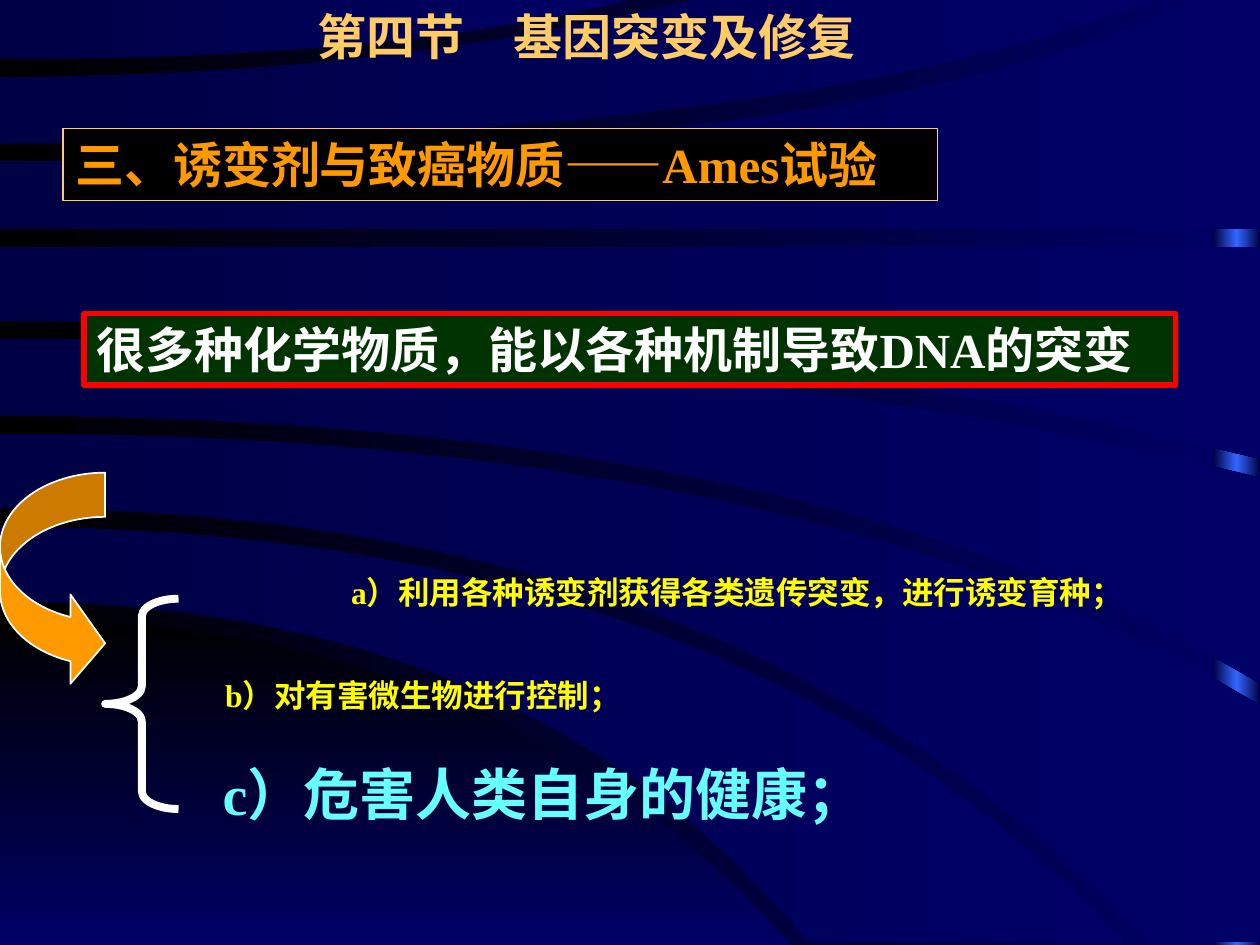
from copy import deepcopy
from dataclasses import dataclass

from pptx import Presentation
from pptx.dml.color import RGBColor
from pptx.enum.shapes import MSO_SHAPE
from pptx.enum.text import MSO_ANCHOR, MSO_AUTO_SIZE, PP_ALIGN
from pptx.oxml.ns import qn
from pptx.util import Cm, Pt

RECTANGLE = MSO_SHAPE.RECTANGLE
LEFT_BRACE = MSO_SHAPE.LEFT_BRACE
CURVED_ARROW = MSO_SHAPE.CURVED_RIGHT_ARROW
TOP = MSO_ANCHOR.TOP
LEFT = PP_ALIGN.LEFT
GROW = MSO_AUTO_SIZE.SHAPE_TO_FIT_TEXT
TITLE_ONLY = 5
WIDTH, HEIGHT = 25.4, 19.05
RIBBON_FOOT = 19
CURVE_STEPS = 16


@dataclass(frozen=True)
class Theme:
    font: str = "Times New Roman"
    black: str = "000000"
    navy: str = "000044"
    blue: str = "000066"
    glow: str = "3366FF"
    gold: str = "FFCC66"
    orange: str = "FF9900"
    yellow: str = "FFFF00"
    cyan: str = "66FFFF"
    white: str = "FFFFFF"
    red: str = "FF0000"
    green: str = "003300"
    small: int = 18
    heading: int = 28
    large: int = 32


@dataclass(frozen=True)
class Edge:
    """A curve that leaves the left side level and bends towards its end, in cm."""
    start: float
    bend: float
    end_x: float
    end_y: float

    def points(self):
        for step in range(CURVE_STEPS + 1):
            t = step / CURVE_STEPS
            x = 2 * t * (1 - t) * self.bend + t * t * self.end_x
            y = self.start + t * t * (self.end_y - self.start)
            yield x, y


def flat(y, end_x=WIDTH):
    return Edge(y, end_x / 2, end_x, y)


THEME = Theme()

# Upper and lower edge of each shape, from the bottom of the slide up.
WEDGE = Edge(12.47, 10.2, 15.95, HEIGHT), flat(HEIGHT, 15.95)
RIBBONS = [
    (Edge(10.62, 14.9, 22.68, RIBBON_FOOT), Edge(12.12, 10.7, 16.31, RIBBON_FOOT)),
    (Edge(8.74, 16.5, WIDTH, 14.22), Edge(10.24, 15.2, 23.09, RIBBON_FOOT)),
    (Edge(6.83, 14, WIDTH, 9.63), Edge(8.38, 16.4, WIDTH, 13.77)),
    (flat(4.98), Edge(6.48, 14.3, WIDTH, 9.25)),
    (Edge(3.25, 17.5, 23.95, 0), flat(4.62)),
    (Edge(1.55, 7.8, 13.97, 0), Edge(2.9, 16, 23.2, 0)),
    (flat(0, 12.6), Edge(1.19, 8, 12.6, 0)),
]


def rgb(color):
    return RGBColor.from_string(color)


def fade(fill, start, end, angle=0):
    fill.gradient()
    fill.gradient_angle = angle
    for stop, color, position in zip(fill.gradient_stops, (start, end), (0, 1)):
        stop.color.rgb = rgb(color)
        stop.position = position


def style_shape(shape, fill=None, line=None, width=0):
    shape.shadow.inherit = False
    if fill:
        shape.fill.solid()
        shape.fill.fore_color.rgb = rgb(fill)
    else:
        shape.fill.background()
    if line:
        shape.line.color.rgb = rgb(line)
        shape.line.width = Pt(width)
    else:
        shape.line.fill.background()


def add_preset(page, kind, place, adjustments=(), **style):
    shape = page.shapes.add_shape(kind, *map(Cm, place))
    for index, value in enumerate(adjustments):
        shape.adjustments[index] = value
    style_shape(shape, **style)
    return shape


def add_glow_band(page):
    """Draw the side band, whose middle colour shows between the ribbons."""
    band = add_preset(page, RECTANGLE, (24.46, 0, 0.94, HEIGHT))
    fade(band.fill, THEME.navy, THEME.navy)
    first = band._element.spPr.find(".//" + qn("a:gs"))
    first.addnext(deepcopy(first))
    middle = band.fill.gradient_stops[1]
    middle.position = 0.5
    middle.color.rgb = rgb(THEME.glow)


def add_ribbon(page, edges, start, end, angle=0):
    """Fill the area between two edges, closed by a corner at the far end."""
    upper, lower = edges
    corner_y = lower.end_y if upper.end_x > lower.end_x else upper.end_y
    corner = max(upper.end_x, lower.end_x), corner_y
    outline = [*upper.points(), corner, *reversed(list(lower.points()))]
    corners = [(Cm(x), Cm(y)) for x, y in outline]
    builder = page.shapes.build_freeform(*corners[0])
    builder.add_line_segments(corners[1:], close=True)
    ribbon = builder.convert_to_shape()
    style_shape(ribbon)
    fade(ribbon.fill, start, end, angle)


def write_text(box, text, size=THEME.heading, color=THEME.white, wrap=True):
    frame = box.text_frame
    frame.word_wrap = wrap
    frame.auto_size = GROW
    frame.vertical_anchor = TOP
    para = frame.paragraphs[0]
    para.alignment = LEFT
    span = para.add_run()
    span.text = text
    span.font.name = THEME.font
    span.font.size = Pt(size)
    span.font.bold = True
    span.font.color.rgb = rgb(color)


def add_text(page, text, place, **text_format):
    write_text(page.shapes.add_textbox(*map(Cm, place)), text, **text_format)


def place_title(page, text, place, **text_format):
    """Fill the title placeholder and bring it in front of the ribbons."""
    title = page.shapes.title
    title.left, title.top, title.width, title.height = map(Cm, place)
    write_text(title, text, **text_format)
    page.shapes._spTree.append(title._element)


def add_backdrop(page):
    fade(page.background.fill, THEME.black, THEME.blue)
    add_glow_band(page)
    add_ribbon(page, WEDGE, THEME.black, THEME.blue, angle=270)
    for edges in RIBBONS:
        add_ribbon(page, edges, THEME.navy, THEME.blue)


def main():
    deck = Presentation()
    deck.slide_width, deck.slide_height = Cm(WIDTH), Cm(HEIGHT)
    page = deck.slides.add_slide(deck.slide_layouts[TITLE_ONLY])
    add_backdrop(page)
    place_title(page, "第四节　基因突变及修复", (6.15, 0, 12.57, 1.45), color=THEME.gold)

    topic = add_preset(page, RECTANGLE, (1.27, 2.59, 17.63, 1.45),
                       fill=THEME.black, line=THEME.gold, width=0.75)
    write_text(topic, "三、诱变剂与致癌物质——Ames试验", color=THEME.orange)

    add_text(page, "a）利用各种诱变剂获得各类遗传突变，进行诱变育种；",
             (6.83, 11.43, 16.21, 1.02), size=THEME.small, color=THEME.yellow, wrap=False)
    add_text(page, "c）危害人类自身的健康；", (4.24, 15.19, 15.06, 1.63),
             size=THEME.large, color=THEME.cyan)
    add_text(page, "b）对有害微生物进行控制；", (4.29, 13.51, 9.6, 1.02),
             size=THEME.small, color=THEME.yellow)

    statement = add_preset(page, RECTANGLE, (1.7, 6.32, 22, 1.45),
                           fill=THEME.green, line=THEME.red, width=3.25)
    write_text(statement, "很多种化学物质，能以各种机制导致DNA的突变")

    add_preset(page, LEFT_BRACE, (2.12, 12.07, 1.48, 4.24), (0.24, 0.5),
               line=THEME.white, width=4.5)
    add_preset(page, CURVED_ARROW, (0, 9.53, 2.12, 4.34), (0.42, 0.85, 0.33),
               fill=THEME.orange, line=THEME.white, width=1)
    deck.save("out.pptx")


if __name__ == "__main__":
    main()
